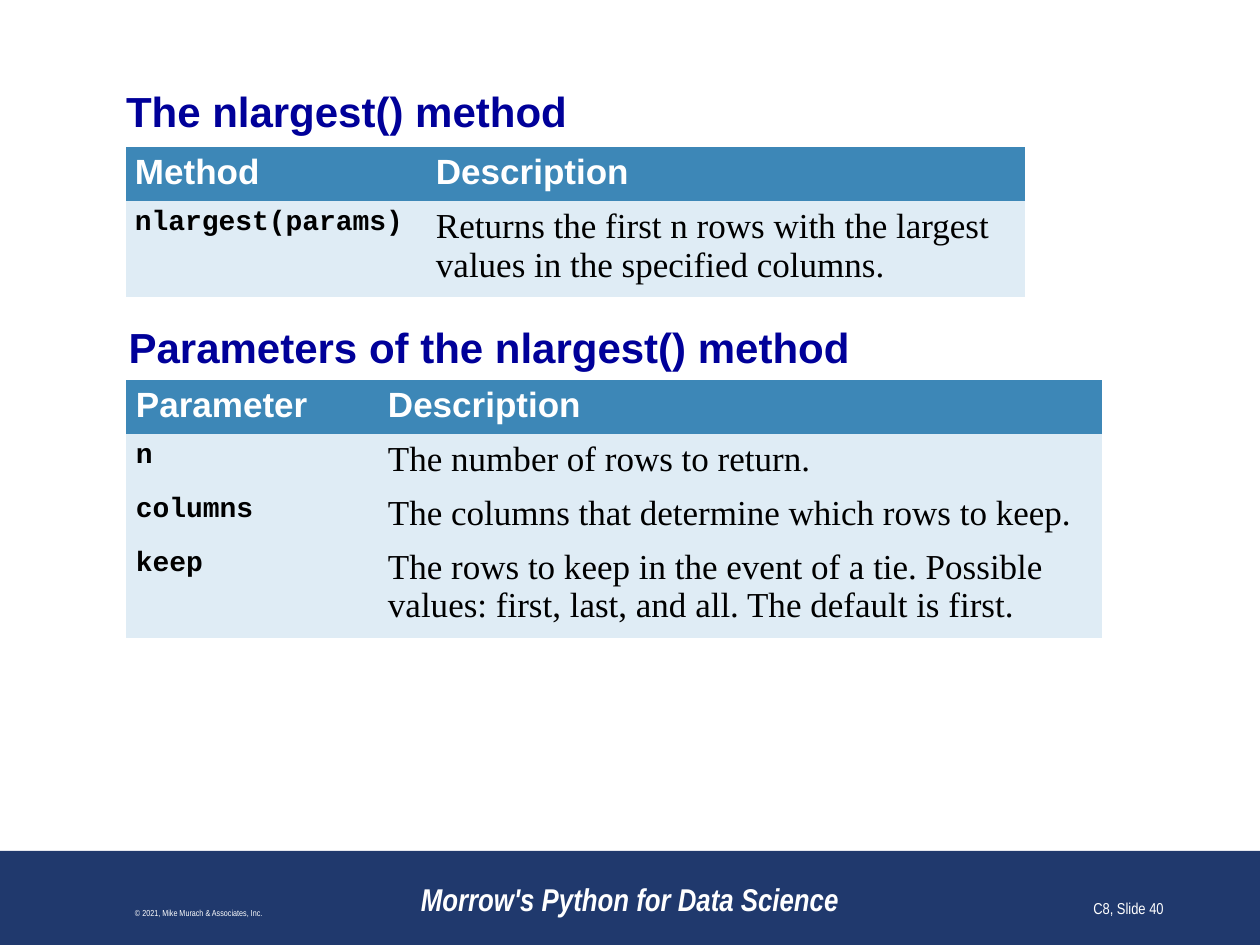
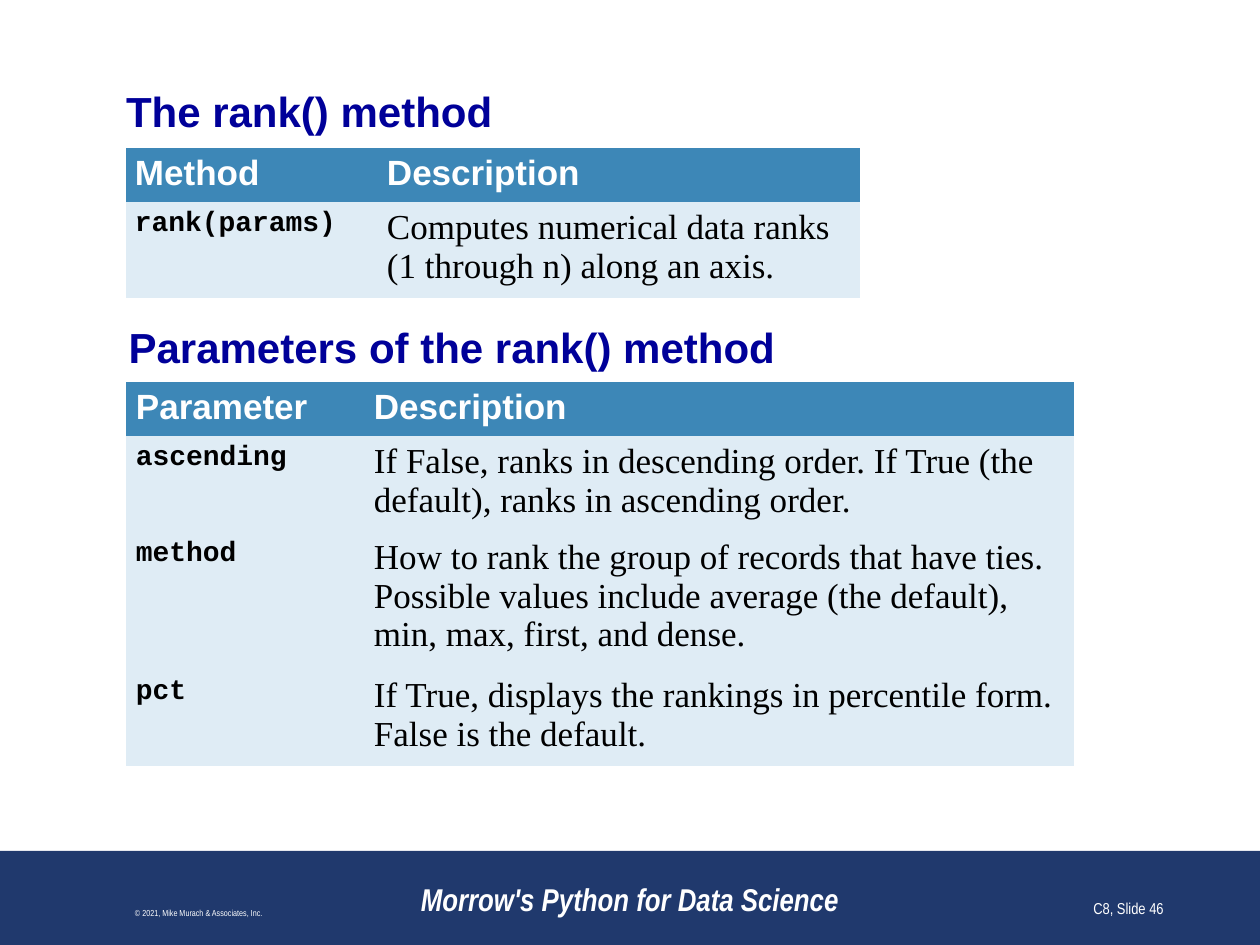
from lxml.etree import SubElement
from pptx import Presentation
from pptx.dml.color import RGBColor
from pptx.enum.shapes import MSO_SHAPE
from pptx.enum.text import MSO_ANCHOR, MSO_AUTO_SIZE, PP_ALIGN
from pptx.oxml.ns import qn
from pptx.util import Pt

EMU_PER_PX = 914400 / 126
PLAIN_TABLE = "{2D5ABB26-0587-4C30-8999-92F81FD0307C}"
COLORS = {
    "white": "FFFFFF",
    "black": "000000",
    "band": "20396D",
    "heading": "000099",
    "header_row": "3D87B7",
    "body_row": "DFECF5",
}
# Text styles: font, size, colour, bold, italic
STYLES = {
    "heading": ("Arial", 24, "heading", True, False),
    "header": ("Arial", 20, "white", True, False),
    "code": ("Courier New", 16, "black", True, False),
    "description": ("Times New Roman", 20, "black", False, False),
    "course": ("Arial Narrow", 18, "white", True, True),
    "copyright": ("Arial Narrow", 5, "white", False, False),
    "number": ("Arial Narrow", 9, "white", False, False),
}
LEFT = 126
ROW_HEIGHT, EXTRA_LINE = 51, 39


def px(length):
    return round(length * EMU_PER_PX)


def color(name):
    return RGBColor.from_string(COLORS[name])


def paint(target, name):
    target.fill.solid()
    target.fill.fore_color.rgb = color(name)


class SlideBuilder:
    def __init__(self, deck):
        self.deck = deck
        self.page = None

    def new_page(self, number):
        self.page = self.deck.slides.add_slide(self.deck.slide_layouts[1])
        self.band()
        self.footer("Morrow's Python for Data Science", "course", 378, 504)
        self.footer("© 2021, Mike Murach & Associates, Inc.", "copyright", 10, 378)
        self.footer(f"C8, Slide {number}", "number", 914, 262, PP_ALIGN.RIGHT)

    def place(self, shape, left, top, width, height):
        shape.left, shape.top = px(left), px(top)
        shape.width, shape.height = px(width), px(height)

    def add_text(self, frame, text, style, align=PP_ALIGN.LEFT):
        para = frame.paragraphs[0]
        para.alignment = align
        para.space_before = para.space_after = Pt(0)
        span = para.add_run()
        span.text = text
        font = span.font
        font.name, size, tint, font.bold, font.italic = STYLES[style]
        font.size = Pt(size)
        font.color.rgb = color(tint)
        return para

    def band(self):
        box = self.page.shapes.add_shape(
            MSO_SHAPE.RECTANGLE, 0, px(851), px(1260), px(94))
        box.shadow.inherit = False
        paint(box, "band")
        box.line.fill.background()

    def footer(self, text, style, left, width, align=PP_ALIGN.CENTER):
        box = self.page.shapes.add_textbox(px(left), px(861), px(width), px(63))
        frame = box.text_frame
        frame.word_wrap = True
        frame.vertical_anchor = MSO_ANCHOR.BOTTOM
        self.add_text(frame, text, style, align)

    def title(self, text):
        box = self.page.shapes.title
        self.place(box, LEFT, 86, 1008, 50)
        frame = box.text_frame
        frame.margin_left = frame.margin_right = 0
        frame.margin_top = frame.margin_bottom = 0
        frame.vertical_anchor = MSO_ANCHOR.MIDDLE
        frame.auto_size = MSO_AUTO_SIZE.NONE
        self.add_text(frame, text, "heading")

    def subheading(self, text):
        box = self.page.placeholders[1]
        self.place(box, 116, 315, 1018, 63)
        paint(box, "white")
        frame = box.text_frame
        frame.auto_size = MSO_AUTO_SIZE.NONE
        para = self.add_text(frame, text, "heading")
        # Heading text without bullet or hanging indent
        properties = para._p.get_or_add_pPr()
        properties.set("marL", "0")
        properties.set("indent", "0")
        SubElement(properties, qn("a:buNone"))

    def table(self, top, widths, margin, first_header, entries):
        rows = [(first_header, "Description", 1), *entries]
        heights = [ROW_HEIGHT + EXTRA_LINE * (lines - 1) for *_, lines in rows]
        table = self.page.shapes.add_table(
            len(rows), 2, px(LEFT), px(top), px(sum(widths)), px(sum(heights))).table
        table.first_row = table.horz_banding = False
        table._tbl.tblPr.find(qn("a:tableStyleId")).text = PLAIN_TABLE
        for column, width in zip(table.columns, widths):
            column.width = px(width)
        for index, (term, description, _) in enumerate(rows):
            table.rows[index].height = px(heights[index])
            styles = ("code", "description") if index else ("header", "header")
            for cell, text, style in zip(
                    table.rows[index].cells, (term, description), styles):
                paint(cell, "body_row" if index else "header_row")
                cell.margin_left = cell.margin_right = px(margin)
                cell.margin_top = cell.margin_bottom = px(6)
                self.add_text(cell.text_frame, text, style)


# Each table: top, column widths, then rows of (term, description, line count)
METHODS = [
    {
        "name": "nlargest", "number": 40,
        "method": (147, (301, 598), [
            ("nlargest(params)", "Returns the first n rows with the largest "
             "values in the specified columns.", 2),
        ]),
        "parameters": (380, (252, 724), [
            ("n", "The number of rows to return.", 1),
            ("columns", "The columns that determine which rows to keep.", 1),
            ("keep", "The rows to keep in the event of a tie. Possible values: "
             "first, last, and all. The default is first.", 2),
        ]),
    },
    {
        "name": "rank", "number": 46,
        "method": (148, (252, 482), [
            ("rank(params)", "Computes numerical data ranks (1 through n) "
             "along an axis.", 2),
        ]),
        "parameters": (382, (238, 710), [
            ("ascending", "If False, ranks in descending order. If True (the "
             "default), ranks in ascending order.", 2),
            ("method", "How to rank the group of records that have ties. Possible "
             "values include average (the default), min, max, first, and dense.", 3),
            ("pct", "If True, displays the rankings in percentile form. "
             "False is the default.", 2),
        ]),
    },
]


def main():
    deck = Presentation()
    deck.slide_width, deck.slide_height = px(1260), px(945)
    builder = SlideBuilder(deck)
    for method in METHODS:
        builder.new_page(method["number"])
        builder.title(f"The {method['name']}() method")
        top, widths, entries = method["method"]
        builder.table(top, widths, 9, "Method", entries)
        builder.subheading(f"Parameters of the {method['name']}() method")
        top, widths, entries = method["parameters"]
        builder.table(top, widths, 10, "Parameter", entries)
    deck.save("out.pptx")


if __name__ == "__main__":
    main()
